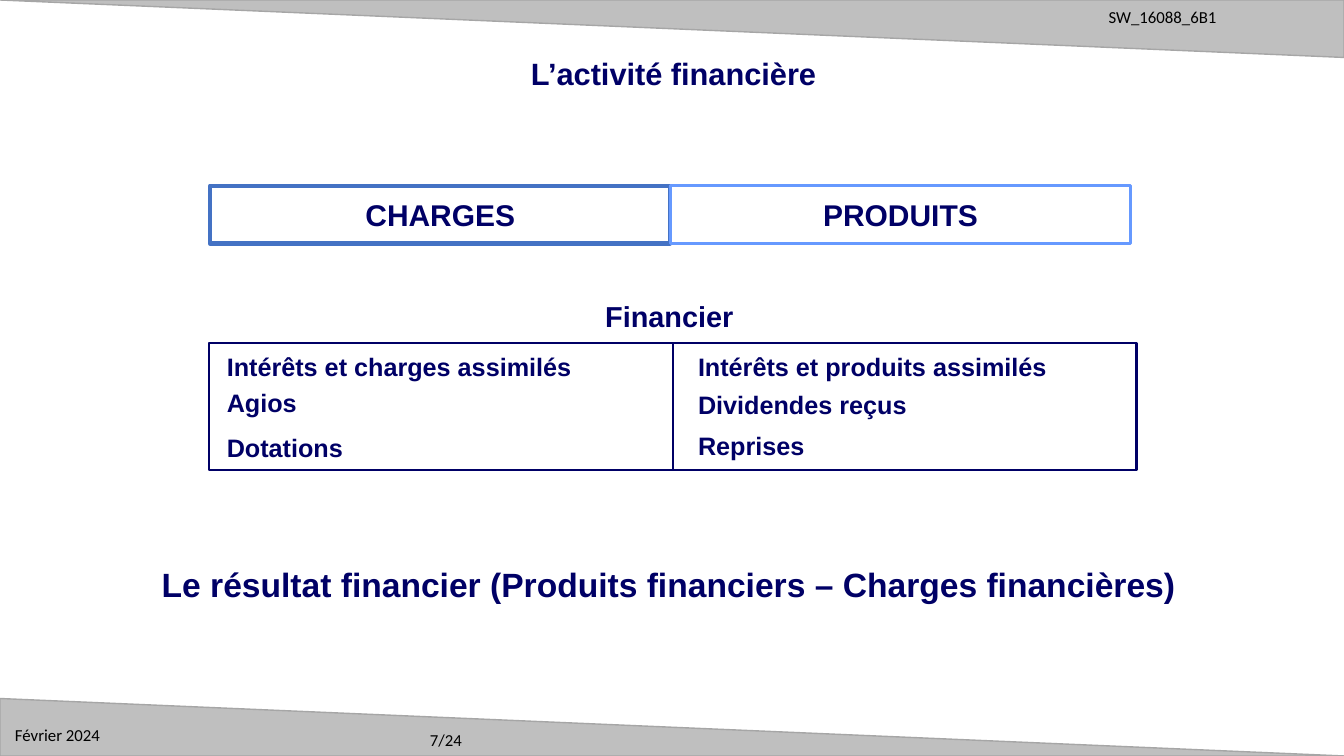
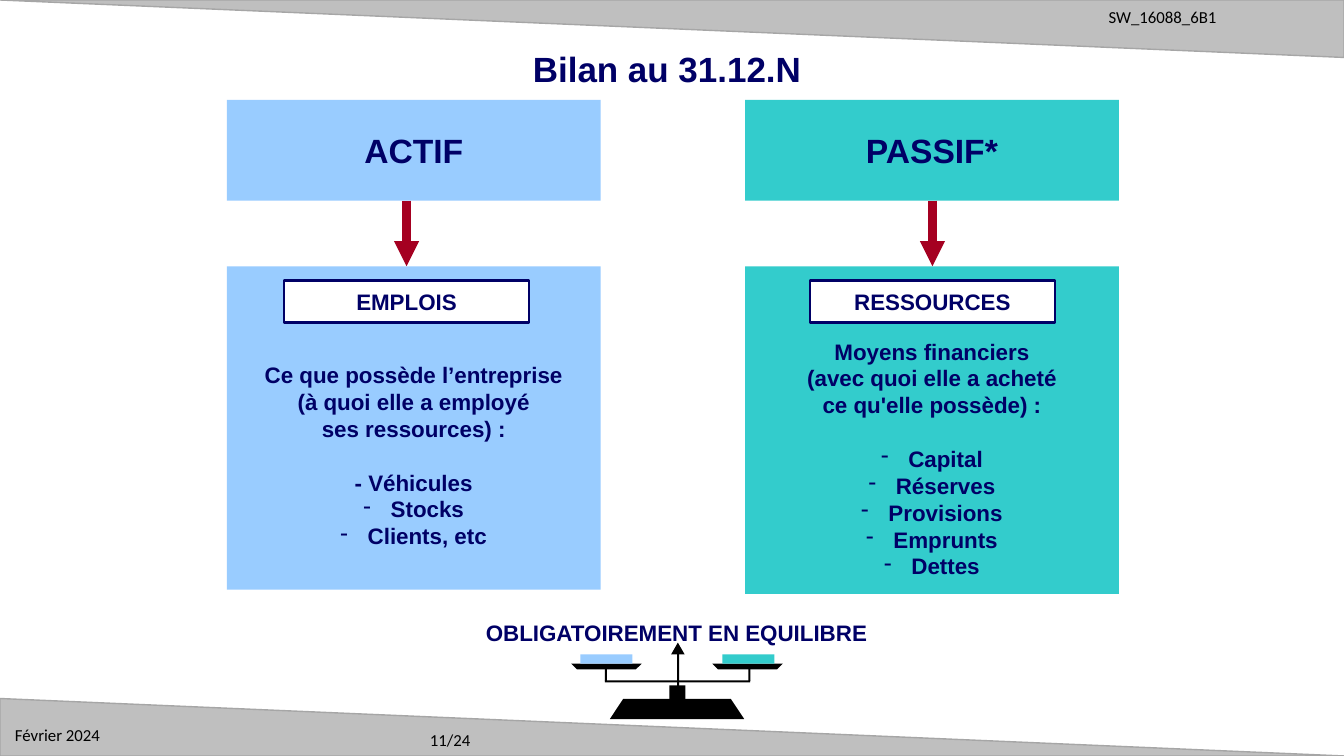
"""Build two accounting slides on a grid of 160 columns by 90 rows."""
from lxml.etree import SubElement
from pptx import Presentation
from pptx.dml.color import RGBColor
from pptx.enum.shapes import MSO_CONNECTOR as Connector, MSO_SHAPE as Preset
from pptx.enum.text import MSO_ANCHOR as Anchor, MSO_AUTO_SIZE as AutoSize, PP_ALIGN as Align
from pptx.oxml.ns import qn
from pptx.util import Emu, Inches, Pt

CELL = Inches(1) // 12
COLUMNS, ROWS = 160, 90

NAVY = RGBColor(0x00, 0x00, 0x66)
BLACK = RGBColor(0x00, 0x00, 0x00)
WHITE = RGBColor(0xFF, 0xFF, 0xFF)
BAND_GREY = RGBColor(0xBF, 0xBF, 0xBF)
EDGE_GREY = RGBColor(0xA6, 0xA6, 0xA6)
ROYAL = RGBColor(0x44, 0x72, 0xC4)
AZURE = RGBColor(0x66, 0x99, 0xFF)
SKY = RGBColor(0x99, 0xCC, 0xFF)
TEAL = RGBColor(0x33, 0xCC, 0xCC)
CRIMSON = RGBColor(0xA5, 0x00, 0x21)

HEADING = {"name": "Arial", "bold": True}
FOOTER = {"name": "Calibri", "bold": False}


def draw(page, preset, cells, fill=None, edge=None, weight=1):
    """Add a preset shape, or a text box when there is no preset."""
    place = [Emu(round(cell * CELL)) for cell in cells]
    if preset is None:
        return page.shapes.add_textbox(*place)
    shape = page.shapes.add_shape(preset, *place)
    shape.shadow.inherit = False
    for part, colour in ((shape.fill, fill), (shape.line.fill, edge)):
        if colour is None:
            part.background()
        else:
            part.solid()
            part.fore_color.rgb = colour
    if edge is not None:
        shape.line.width = Pt(weight)
    return shape


def write(shape, lines, size, font=HEADING, colour=NAVY, align=Align.CENTER, **layout):
    """Write one paragraph a line and return the paragraphs."""
    frame = shape.text_frame
    settings = {"word_wrap": False, "auto_size": AutoSize.NONE,
                "vertical_anchor": Anchor.MIDDLE, **layout}
    for name, value in settings.items():
        setattr(frame, name, value)
    frame.text = "\n".join(lines)
    for para in frame.paragraphs:
        para.alignment = align
        for span in para.runs:
            for name, value in {**font, "size": Pt(size)}.items():
                setattr(span.font, name, value)
            span.font.color.rgb = colour
    return frame.paragraphs


deck = Presentation()
deck.slide_width, deck.slide_height = COLUMNS * CELL, ROWS * CELL
layout = deck.slide_layouts.get_by_name("Title Only")

footer_style = {"font": FOOTER, "colour": BLACK, "align": Align.LEFT}
pages = []
for title, size, left, top, number in (
    ("L’activité financière", 22, 26.2, 5.7, "7/24"),
    ("Bilan au 31.12.N", 25, 25.4, 5.1, "11/24"),
):
    page = deck.slides.add_slide(layout)
    box = page.shapes.title
    for name, value in {"left": left, "top": top, "width": 108, "height": 6}.items():
        setattr(box, name, Emu(round(value * CELL)))
    write(box, [title], size)
    write(draw(page, None, (50, 86.3, 20, 3.6)), [number], 12, **footer_style)
    pages.append(page)
income, balance = pages

shared = []
band_height = 6.84
for top, turn in ((0, 180), (ROWS - band_height, 0)):
    band = draw(income, Preset.ISOSCELES_TRIANGLE, (0, top, COLUMNS, band_height),
                BAND_GREY, EDGE_GREY)
    band.adjustments[0] = 0
    band.rotation = turn
    shared.append(band)
for text, left, top in (("SW_16088_6B1", 130.8, 0.24), ("Février 2024", 0.6, 85.7)):
    box = draw(income, None, (left, top, 28, 3.6))
    write(box, [text], 12, **footer_style)
    shared.append(box)
for shape in shared:
    layout.shapes.element.append(shape.element)

header_width, account_width = 54.8, 55.2
for column, (header, edge, weight, inset, gaps, entries) in enumerate((
    ("CHARGES", ROYAL, 3, 2.1, (0, 4, 10.7),
     ("Intérêts et charges assimilés", "Agios", "Dotations")),
    ("PRODUITS", AZURE, 2.25, 3, (0, 5.7, 7.5),
     ("Intérêts et produits assimilés", "Dividendes reçus", "Reprises")),
)):
    box = draw(income, Preset.RECTANGLE,
               (25 + column * header_width, 22.1, header_width, 6.9), WHITE, edge, weight)
    write(box, [header], 21.4)
    box = draw(income, Preset.RECTANGLE,
               (24.9 + column * account_width, 40.8, account_width, 15.2), None, NAVY, 1.5)
    paras = write(box, entries, 18, align=Align.LEFT, vertical_anchor=Anchor.TOP,
                  margin_left=round(inset * CELL), margin_top=CELL)
    for para, gap in zip(paras, gaps):
        para.space_before = Pt(gap)

for text, size, cells in (
    ("Financier", 20.6, (71, 35, 17.4, 5.2)),
    ("Le résultat financier (Produits financiers – Charges financières)", 24,
     (13.9, 66.6, 131.4, 5.9)),
):
    write(draw(income, None, cells), [text], size)

panel_width, header_top, header_height, panel_top = 44.5, 11.9, 12, 31.7
for header, label, colour, left, middle, height, inset, intro, items in (
    ("ACTIF", "EMPLOIS", SKY, 27, 48.4, 38.5, 11.3,
     ("Ce que possède l’entreprise", "(à quoi elle a employé", "ses ressources) :"),
     ("- Véhicules", "Stocks", "Clients, etc")),
    ("PASSIF*", "RESSOURCES", TEAL, 88.7, 111, 39, 8.5,
     ("Moyens financiers", "(avec quoi elle a acheté", "ce qu'elle possède) :"),
     ("Capital", "Réserves", "Provisions", "Emprunts", "Dettes")),
):
    box = draw(balance, Preset.RECTANGLE, (left, header_top, panel_width, header_height), colour)
    write(box, [header], 24)
    panel = draw(balance, Preset.RECTANGLE, (left, panel_top, panel_width, height), colour)
    paras = write(panel, intro + items, 16, vertical_anchor=Anchor.TOP,
                  margin_top=round(inset * CELL))
    for para in paras:
        para.line_spacing = Pt(19.2)
    paras[len(intro)].space_before = Pt(19.2)
    for para in paras[len(intro):]:
        if not para.text.startswith("-"):
            props = para._p.get_or_add_pPr()
            props.set("marL", str(Inches(0.27)))
            props.set("indent", str(-Inches(0.27)))
            SubElement(props, qn("a:buChar")).set("char", "-")
    tag = draw(balance, Preset.RECTANGLE, (middle - 14.6, 33.4, 29.2, 5), WHITE, NAVY, 1.5)
    write(tag, [label], 16)
    ends = (middle, header_top + header_height, middle, panel_top)
    arrow = balance.shapes.add_connector(
        Connector.STRAIGHT, *[Emu(round(end * CELL)) for end in ends])
    arrow.line.color.rgb = CRIMSON
    arrow.line.width = Pt(6)
    props = arrow.element.spPr
    SubElement(props.find(qn("a:ln")), qn("a:tailEnd")).set("type", "triangle")
    SubElement(props, qn("a:effectLst"))

pans = [[(left, 79), (left + 8.4, 79), (left + 7.7, 79.7), (left + 0.7, 79.7)]
        for left in (68, 84.8)]
base = [(72.6, 85.6), (74.2, 83.2), (87, 83.2), (88.6, 85.6)]
pointer = [(79.9, 77.9), (80.7, 76.5), (81.5, 77.9)]
for outline in (base, pointer, *pans):
    points = [(round(x * CELL), round(y * CELL)) for x, y in outline]
    builder = balance.shapes.build_freeform(*points[0])
    builder.add_line_segments(points[1:], close=True)
    part = builder.convert_to_shape()
    part.shadow.inherit = False
    part.fill.solid()
    part.fill.fore_color.rgb = BLACK
    part.line.fill.background()

mast, neck, beam = (80.6, 77.2, 0.24, 4.6), (79.7, 81.6, 1.9, 1.8), (72, 81, 17.3, 0.24)
hangers = [(left, 79.6, 0.24, 1.5) for left in (72, 89.1)]
for cells in (mast, neck, beam, *hangers):
    draw(balance, Preset.RECTANGLE, cells, BLACK)
for left, colour in ((69.1, SKY), (86, TEAL)):
    draw(balance, Preset.RECTANGLE, (left, 77.9, 6.2, 1.1), colour)
write(draw(balance, None, (64.7, 73.6, 31.7, 3.5)), ["OBLIGATOIREMENT EN EQUILIBRE"], 16)

deck.save("out.pptx")
